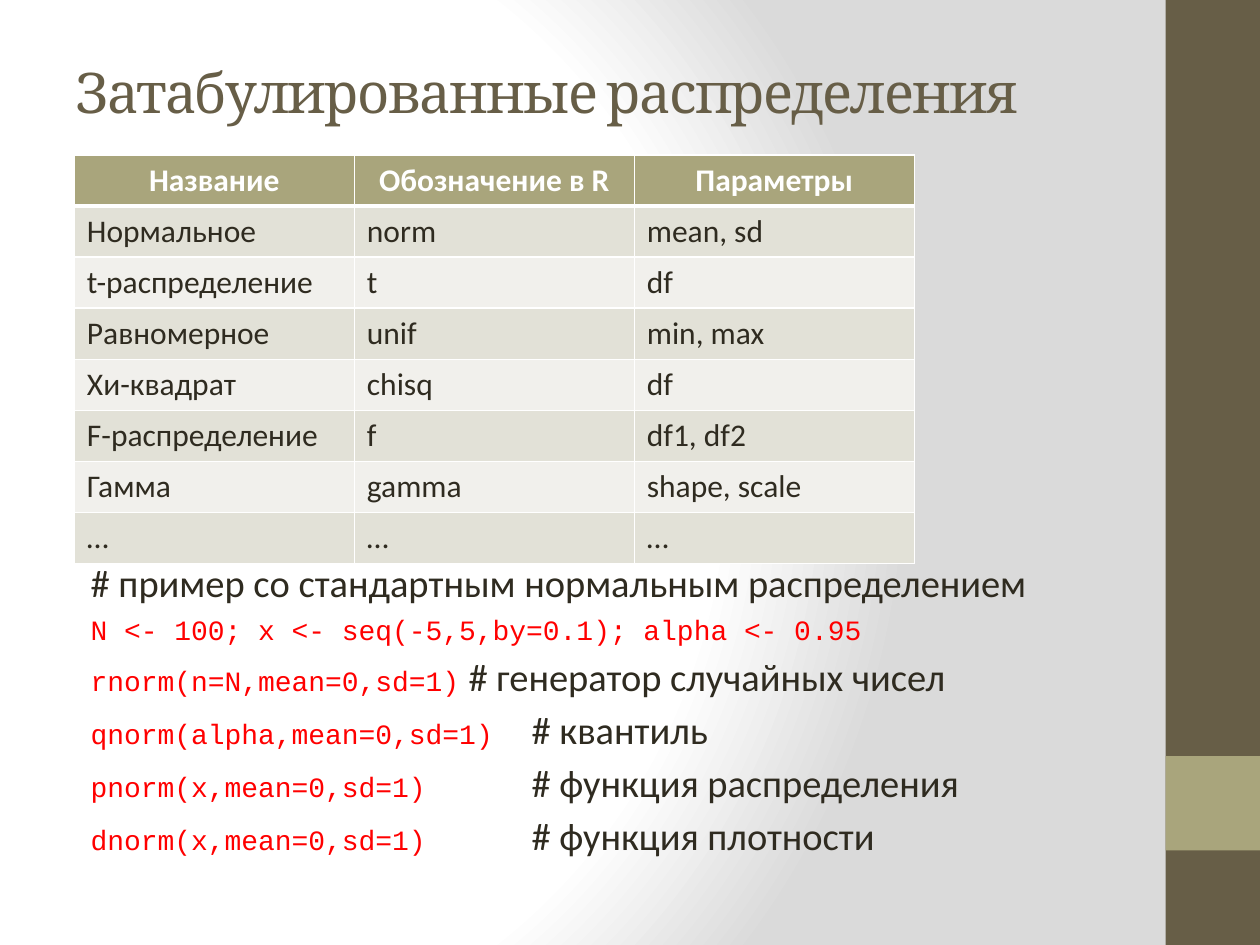
from lxml.etree import SubElement
from pptx import Presentation
from pptx.dml.color import RGBColor
from pptx.enum.shapes import MSO_SHAPE
from pptx.enum.text import MSO_ANCHOR, PP_ALIGN
from pptx.oxml import parse_xml
from pptx.oxml.ns import nsdecls, qn
from pptx.util import Pt

# Content
TITLE = "Затабулированные распределения"
DISTRIBUTIONS = [
    ("Название", "Обозначение в R", "Параметры"),
    ("Нормальное", "norm", "mean, sd"),
    ("t-распределение", "t", "df"),
    ("Равномерное", "unif", "min, max"),
    ("Хи-квадрат", "chisq", "df"),
    ("F-распределение", "f", "df1, df2"),
    ("Гамма", "gamma", "shape, scale"),
    ("…", "…", "…"),
]
# Each example line: code, then comment
EXAMPLE = [
    ("", "# пример со стандартным нормальным распределением"),
    ("N <- 100; x <- seq(-5,5,by=0.1); alpha <- 0.95", ""),
    ("rnorm(n=N,mean=0,sd=1)", "\t# генератор случайных чисел"),
    ("qnorm(alpha,mean=0,sd=1)", "\t# квантиль"),
    ("pnorm(x,mean=0,sd=1)", "\t\t# функция распределения"),
    ("dnorm(x,mean=0,sd=1)", "\t\t# функция плотности"),
]
BROWN, OLIVE, INK, WHITE, RED = "675E47", "A9A57C", "2F2B20", "FFFFFF", "FF0000"
BANDS = ("F1F0EC", "E2E1D7")
SIDEBAR = [(0, 540, BROWN), (432, 54, OLIVE)]  # top, height, colour
COLUMN_WIDTH, ROW_HEIGHT = 160, 29.2


def rgb(value):
    return RGBColor.from_string(value)


def add_text(paragraph, text, size=18, font="Calibri", color=INK, bold=False, spacing=0):
    run = paragraph.add_run()
    run.text = text
    run.font.size, run.font.name, run.font.bold = Pt(size), font, bold
    run.font.color.rgb = rgb(color)
    if spacing:
        run._r.get_or_add_rPr().set("spc", str(spacing * 100))


def add_frame(left, top, width, height):
    frame = slide.shapes.add_textbox(Pt(left), Pt(top), Pt(width), Pt(height)).text_frame
    frame.word_wrap = True
    return frame


def set_borders(cell, bottom):
    properties = cell._tc.get_or_add_tcPr()
    widths = {"lnL": 1, "lnR": 1, "lnT": 1, "lnB": bottom}
    for position, (side, width) in enumerate(widths.items()):
        properties.insert(position, parse_xml(
            f'<a:{side} {nsdecls("a")} w="{Pt(width)}"><a:solidFill>'
            f'<a:srgbClr val="{WHITE}"/></a:solidFill></a:{side}>'))


presentation = Presentation()
presentation.slide_width, presentation.slide_height = Pt(720), Pt(540)
slide = presentation.slides.add_slide(presentation.slide_layouts[6])

# Background: circular gradient
slide.background.fill.gradient()
gradient = slide.background._cSld.find(".//" + qn("a:gradFill"))
for child in list(gradient):
    gradient.remove(child)
stops = SubElement(gradient, qn("a:gsLst"))
for position, color in [(0, WHITE), (75, WHITE), (100, "DADADA")]:
    stop = SubElement(stops, qn("a:gs"), pos=str(position * 1000))
    SubElement(stop, qn("a:srgbClr"), val=color)
circle = SubElement(gradient, qn("a:path"), {"path": "circle"})
SubElement(circle, qn("a:fillToRect"), l="20000", t="50000", r="100000", b="50000")

# Sidebar
for top, height, color in SIDEBAR:
    band = slide.shapes.add_shape(MSO_SHAPE.RECTANGLE, Pt(666), Pt(top), Pt(54), Pt(height))
    band.shadow.inherit = False
    band.fill.solid()
    band.fill.fore_color.rgb = rgb(color)
    band.line.fill.background()

# Title
title = add_frame(36, 21.6, 600, 61.2)
title.vertical_anchor = MSO_ANCHOR.MIDDLE
add_text(title.paragraphs[0], TITLE, size=32, font="Cambria", color=BROWN, spacing=-1)

# Code example, below the table
example = add_frame(36, 88.5, 613.5, 430.5)
example.margin_left, example.margin_top = Pt(15.84), Pt(231)
for number, (code, comment) in enumerate(EXAMPLE):
    line = example.add_paragraph() if number else example.paragraphs[0]
    line.space_before = Pt(4 if number else 0)
    if code:
        add_text(line, code, size=16, font="Courier New", color=RED)
    if comment:
        add_text(line, comment, size=22)

# Table of distributions
rows, columns = len(DISTRIBUTIONS), len(DISTRIBUTIONS[0])
table = slide.shapes.add_table(rows, columns, Pt(42.5), Pt(88.5), Pt(columns * COLUMN_WIDTH),
                               Pt(rows * ROW_HEIGHT)).table
for column in table.columns:
    column.width = Pt(COLUMN_WIDTH)
for r, entries in enumerate(DISTRIBUTIONS):
    header = r == 0
    table.rows[r].height = Pt(ROW_HEIGHT)
    for c, entry in enumerate(entries):
        cell = table.cell(r, c)
        cell.fill.solid()
        cell.fill.fore_color.rgb = rgb(OLIVE if header else BANDS[r % 2])
        set_borders(cell, bottom=3 if header else 1)
        paragraph = cell.text_frame.paragraphs[0]
        paragraph.alignment = PP_ALIGN.CENTER if header else PP_ALIGN.LEFT
        add_text(paragraph, entry, color=WHITE if header else INK, bold=header)

presentation.save("out.pptx")
